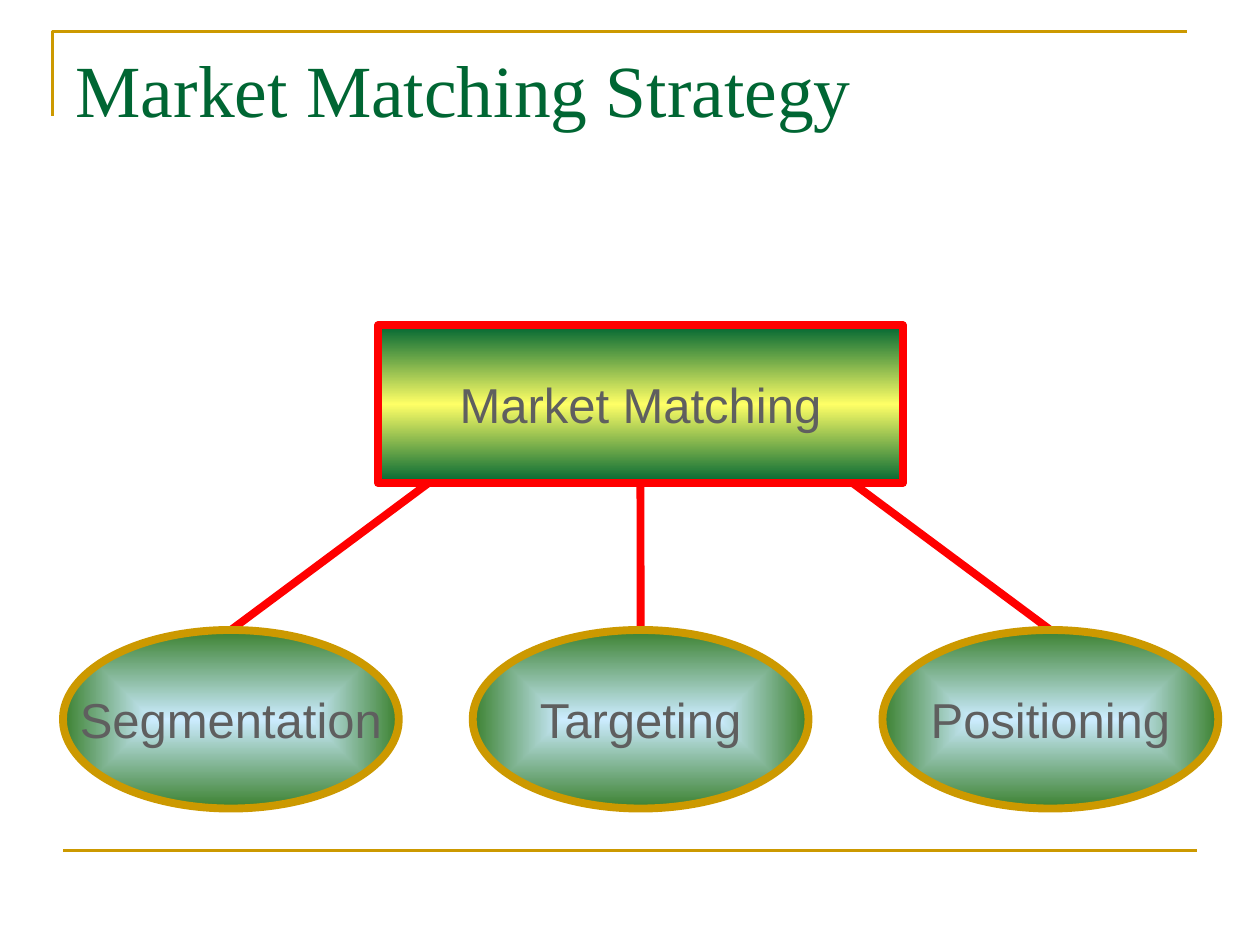
"""Build the Market Matching Strategy slide: one box linked to three ellipses."""
from pptx import Presentation
from pptx.dml.color import RGBColor
from pptx.enum.shapes import MSO_CONNECTOR, MSO_SHAPE
from pptx.enum.text import MSO_ANCHOR, MSO_AUTO_SIZE, PP_ALIGN
from pptx.oxml import parse_xml
from pptx.oxml.ns import nsdecls
from pptx.util import Cm, Pt
from lxml.etree import SubElement

TITLE = "Market Matching Strategy"
ROOT = "Market Matching"
STEPS = [("Segmentation", 0), ("Targeting", 2), ("Positioning", 0)]

GREEN = RGBColor(0x00, 0x66, 0x33)
LEAF = RGBColor(0x3B, 0x81, 0x2F)
YELLOW = RGBColor(0xFF, 0xFF, 0x66)
SKY = RGBColor(0xCC, 0xEC, 0xFF)
GOLD = RGBColor(0xCC, 0x99, 0x00)
RED = RGBColor(0xFF, 0x00, 0x00)
GREY = RGBColor(0x5F, 0x5F, 0x5F)

ROOT_BOX = (7.62, 6.56, 10.58, 3.18)
STEP_LEFT, STEP_TOP, STEP_WIDTH, STEP_HEIGHT = 1.27, 12.7, 6.77, 3.6
STEP_PITCH = 8.26
ROOT_STOPS = [(0, GREEN), (50, YELLOW), (100, GREEN)]
STEP_STOPS = [(0, SKY), (100, LEAF)]
VERTICAL = '<a:lin ang="5400000" scaled="1"/>'
FROM_CENTRE = ('<a:path path="rect"><a:fillToRect l="50000" t="50000" '
               'r="50000" b="50000"/></a:path>')


def set_gradient(shape, stops, direction):
    stop_list = "".join(
        f'<a:gs pos="{position * 1000}"><a:srgbClr val="{color}"/></a:gs>'
        for position, color in stops)
    gradient = parse_xml(f'<a:gradFill {nsdecls("a")} rotWithShape="1">'
                         f'<a:gsLst>{stop_list}</a:gsLst>{direction}</a:gradFill>')
    shape._element.spPr.prstGeom.addnext(gradient)


def set_line(shape, color, width):
    shape.line.color.rgb = color
    shape.line.width = Pt(width)


def set_font(paragraph, name, size, color):
    paragraph.font.name = name
    paragraph.font.size = Pt(size)
    paragraph.font.color.rgb = color


def add_node(slide, kind, box, text, stops, direction, line_color):
    shape = slide.shapes.add_shape(kind, *map(Cm, box))
    shape.shadow.inherit = False
    set_gradient(shape, stops, direction)
    set_line(shape, line_color, 4.5)
    frame = shape.text_frame
    frame.word_wrap = False
    frame.vertical_anchor = MSO_ANCHOR.MIDDLE
    frame.text = text
    paragraph = frame.paragraphs[0]
    paragraph.alignment = PP_ALIGN.CENTER
    set_font(paragraph, "Arial", 28, GREY)
    return shape


def add_line(slide, ends, color, width):
    connector = slide.shapes.add_connector(MSO_CONNECTOR.STRAIGHT, *map(Cm, ends))
    set_line(connector, color, width)
    SubElement(connector._element.spPr,
               "{http://schemas.openxmlformats.org/drawingml/2006/main}effectLst")
    return connector


def add_frame(slide):
    builder = slide.shapes.build_freeform(Cm(1.06), Cm(2.33))
    builder.add_line_segments([(Cm(1.06), Cm(0.64)), (Cm(23.92), Cm(0.64))], close=False)
    corner = builder.convert_to_shape()
    corner.shadow.inherit = False
    corner.fill.background()
    set_line(corner, GOLD, 1.5)
    add_line(slide, (1.27, 17.14, 24.13, 17.14), GOLD, 1.5)


def add_title(slide):
    title = slide.shapes.title
    title.left, title.top, title.width, title.height = map(Cm, (1.27, 0.76, 22.86, 3.18))
    frame = title.text_frame
    frame.text = TITLE
    frame.auto_size = MSO_AUTO_SIZE.NONE
    frame.vertical_anchor = MSO_ANCHOR.TOP
    frame.paragraphs[0].alignment = PP_ALIGN.LEFT
    set_font(frame.paragraphs[0], "Times New Roman", 42, GREEN)


def main():
    presentation = Presentation()
    presentation.slide_width, presentation.slide_height = Cm(25.4), Cm(19.05)
    slide = presentation.slides.add_slide(presentation.slide_layouts[5])
    add_title(slide)
    add_frame(slide)
    root = add_node(slide, MSO_SHAPE.RECTANGLE, ROOT_BOX, ROOT,
                    ROOT_STOPS, VERTICAL, RED)
    for index, (text, root_side) in enumerate(STEPS):
        box = (STEP_LEFT + index * STEP_PITCH, STEP_TOP, STEP_WIDTH, STEP_HEIGHT)
        step = add_node(slide, MSO_SHAPE.OVAL, box, text,
                        STEP_STOPS, FROM_CENTRE, GOLD)
        link = add_line(slide, (0, 0, 0, 0), RED, 4.5)
        link.begin_connect(step, 0)
        link.end_connect(root, root_side)
        root._element.addprevious(link._element)
    presentation.save("out.pptx")


if __name__ == "__main__":
    main()
